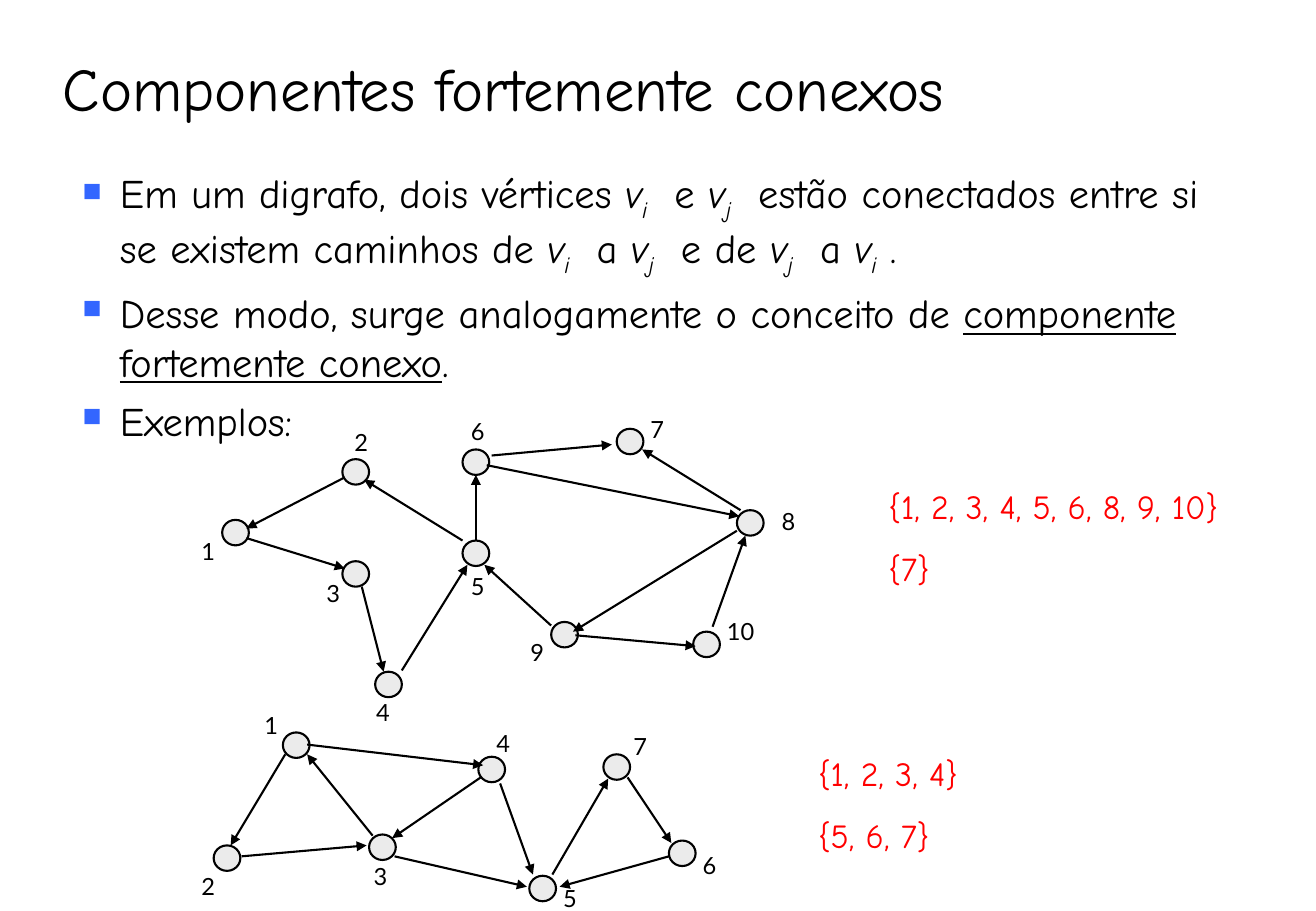
from lxml import etree
from pptx import Presentation
from pptx.dml.color import RGBColor
from pptx.enum.shapes import MSO_CONNECTOR, MSO_SHAPE
from pptx.enum.text import MSO_ANCHOR, MSO_AUTO_SIZE
from pptx.oxml.ns import qn
from pptx.util import Inches, Pt

ELLIPSE = MSO_SHAPE.OVAL
STRAIGHT = MSO_CONNECTOR.STRAIGHT
BOTTOM = MSO_ANCHOR.BOTTOM
GROW = MSO_AUTO_SIZE.SHAPE_TO_FIT_TEXT

BLACK = RGBColor(0x00, 0x00, 0x00)
RED = RGBColor(0xFF, 0x00, 0x00)
GRAY = RGBColor(0xEB, 0xEB, 0xEB)
BLUE = RGBColor(0x33, 0x66, 0xFF)

TEXT_FONT = "Comic Neue"
LABEL_FONT = "Lato"
PLAIN, ITALIC, SUBSCRIPT, UNDERLINE = range(4)

V_I = [("v", ITALIC), ("i", SUBSCRIPT)]
V_J = [("v", ITALIC), ("j", SUBSCRIPT)]
BULLETS = [
    [("Em um digrafo, dois vértices ", PLAIN), *V_I, ("  e ", PLAIN), *V_J,
     ("  estão conectados entre si se existem caminhos de ", PLAIN), *V_I,
     ("  a ", PLAIN), *V_J, ("  e de ", PLAIN), *V_J, ("  a ", PLAIN), *V_I,
     (" .", PLAIN)],
    [("Desse modo, surge analogamente o conceito de ", PLAIN),
     ("componente fortemente conexo", UNDERLINE), (".", PLAIN)],
    [("Exemplos:", PLAIN)],
]

# Vertex number: circle left, circle top, label left, label top
UPPER_VERTICES = {
    1: (1.83, 4.28, 1.56, 4.37),
    2: (2.82, 3.78, 2.82, 3.47),
    3: (2.82, 4.62, 2.59, 4.72),
    4: (3.09, 5.53, 3.00, 5.70),
    5: (3.81, 4.45, 3.78, 4.66),
    6: (3.81, 3.70, 3.78, 3.38),
    7: (5.08, 3.53, 5.26, 3.37),
    8: (6.07, 4.20, 6.34, 4.12),
    9: (4.54, 5.12, 4.27, 5.20),
    10: (5.71, 5.20, 5.89, 5.03),
}
LOWER_VERTICES = {
    1: (2.33, 6.03, 2.08, 5.80),
    2: (1.76, 6.96, 1.56, 7.13),
    3: (3.04, 6.87, 2.98, 7.05),
    4: (3.94, 6.23, 3.99, 5.95),
    5: (4.36, 7.21, 4.54, 7.23),
    6: (5.51, 6.92, 5.69, 6.96),
    7: (4.97, 6.21, 5.12, 5.98),
}

# (from vertex, to vertex): start x, start y, end x, end y
UPPER_EDGES = {
    (1, 3): (2.03, 4.43, 2.84, 4.68),
    (3, 4): (2.98, 4.83, 3.16, 5.53),
    (4, 5): (3.31, 5.52, 3.85, 4.65),
    (2, 1): (2.84, 3.93, 2.03, 4.35),
    (5, 2): (3.81, 4.45, 3.00, 3.95),
    (5, 6): (3.92, 4.45, 3.92, 3.91),
    (9, 5): (4.54, 5.15, 3.99, 4.65),
    (8, 9): (6.07, 4.37, 4.72, 5.20),
    (9, 10): (4.74, 5.23, 5.73, 5.32),
    (10, 8): (5.87, 5.16, 6.14, 4.41),
    (6, 8): (4.01, 3.83, 6.09, 4.25),
    (6, 7): (4.05, 3.75, 5.04, 3.66),
    (8, 7): (6.10, 4.20, 5.29, 3.70),
}
LOWER_EDGES = {
    (1, 2): (2.35, 6.21, 1.90, 6.96),
    (2, 3): (1.99, 7.05, 3.02, 6.96),
    (1, 4): (2.53, 6.13, 3.98, 6.30),
    (3, 1): (3.07, 6.88, 2.53, 6.21),
    (4, 3): (3.96, 6.40, 3.23, 6.90),
    (3, 5): (3.25, 7.05, 4.34, 7.30),
    (4, 5): (4.12, 6.45, 4.39, 7.20),
    (5, 7): (4.55, 7.20, 5.01, 6.41),
    (7, 6): (5.17, 6.40, 5.53, 6.94),
    (6, 5): (5.51, 7.05, 4.61, 7.30),
}


class GraphSlide:
    def __init__(self, page):
        self.page = page
        self.line_width = Pt(1.25)

    def text(self, shapes, place, lines, size, font=TEXT_FONT, color=BLACK,
             before=0):
        """Add a text box; each line is a list of (text, style) spans."""
        box = shapes.add_textbox(*map(Inches, place))
        frame = box.text_frame
        frame.word_wrap = True
        for index, spans in enumerate(lines):
            para = frame.paragraphs[0] if index == 0 else frame.add_paragraph()
            para.space_before = Pt(before)
            para.font.size = Pt(size)
            para.font.name = font
            para.font.color.rgb = color
            for words, style in spans:
                span = para.add_run()
                span.text = words
                if style in (ITALIC, SUBSCRIPT):
                    span.font.italic = True
                if style == SUBSCRIPT:
                    span._r.get_or_add_rPr().set("baseline", "-25000")
                if style == UNDERLINE:
                    span.font.underline = True
        return frame

    def title(self, words):
        frame = self.text(self.page.shapes, (0.42, 0.25, 9.75, 0.83),
                          [[(words, PLAIN)]], 36)
        frame.vertical_anchor = BOTTOM
        frame.paragraphs[0].line_spacing = 0.9

    def bullets(self, lines):
        frame = self.text(self.page.shapes, (0.58, 1.33, 9.71, 2.42), lines,
                          24, before=3)
        for para in frame.paragraphs:
            para.space_after = Pt(3)
            props = para._p.get_or_add_pPr()
            props.set("marL", str(Inches(0.31)))
            props.set("indent", str(-Inches(0.31)))
            bullet_color = etree.Element(qn("a:buClr"))
            etree.SubElement(bullet_color, qn("a:srgbClr"), val=str(BLUE))
            bullet_size = etree.Element(qn("a:buSzPct"), val="65000")
            bullet_mark = etree.Element(qn("a:buChar"), char="■")
            spacing = props.find(qn("a:spcAft"))
            for part in (bullet_mark, bullet_size, bullet_color):
                spacing.addnext(part)

    def components(self, left, top, sets):
        frame = self.text(self.page.shapes, (left, top, 3.43, 0.94),
                          [[(words, PLAIN)] for words in sets], 20,
                          color=RED, before=12.5)
        frame.auto_size = GROW

    def vertex(self, shapes, left, top):
        circle = shapes.add_shape(ELLIPSE, Inches(left), Inches(top),
                                  Inches(0.22), Inches(0.21))
        circle.shadow.inherit = False
        circle.fill.solid()
        circle.fill.fore_color.rgb = GRAY
        circle.line.color.rgb = BLACK
        circle.line.width = self.line_width

    def label(self, shapes, number, left, top):
        width = 0.36 if number < 10 else 0.54
        frame = self.text(shapes, (left, top, width, 0.34),
                          [[(str(number), PLAIN)]], 14, LABEL_FONT, before=8.8)
        frame.auto_size = GROW

    def arrow(self, shapes, ends):
        edge = shapes.add_connector(STRAIGHT, *map(Inches, ends))
        edge.line.color.rgb = BLACK
        edge.line.width = self.line_width
        etree.SubElement(edge.line._get_or_add_ln(), qn("a:tailEnd"),
                         type="triangle")
        etree.SubElement(edge._element.spPr, qn("a:effectLst"))

    def graph(self, vertices, edges):
        shapes = self.page.shapes.add_group_shape().shapes
        for number, (left, top, label_left, label_top) in vertices.items():
            self.vertex(shapes, left, top)
            self.label(shapes, number, label_left, label_top)
        for ends in edges.values():
            self.arrow(shapes, ends)


def main():
    deck = Presentation()
    deck.slide_width = Inches(10.84)
    deck.slide_height = Inches(7.5)
    slide = GraphSlide(deck.slides.add_slide(deck.slide_layouts[6]))
    slide.title("Componentes fortemente conexos")
    slide.components(7.22, 3.95, ["{1, 2, 3, 4, 5, 6, 8, 9, 10}", "{7}"])
    slide.components(6.64, 6.15, ["{1, 2, 3, 4}", "{5, 6, 7}"])
    slide.graph(UPPER_VERTICES, UPPER_EDGES)
    slide.graph(LOWER_VERTICES, LOWER_EDGES)
    slide.bullets(BULLETS)
    deck.save("out.pptx")


if __name__ == "__main__":
    main()
